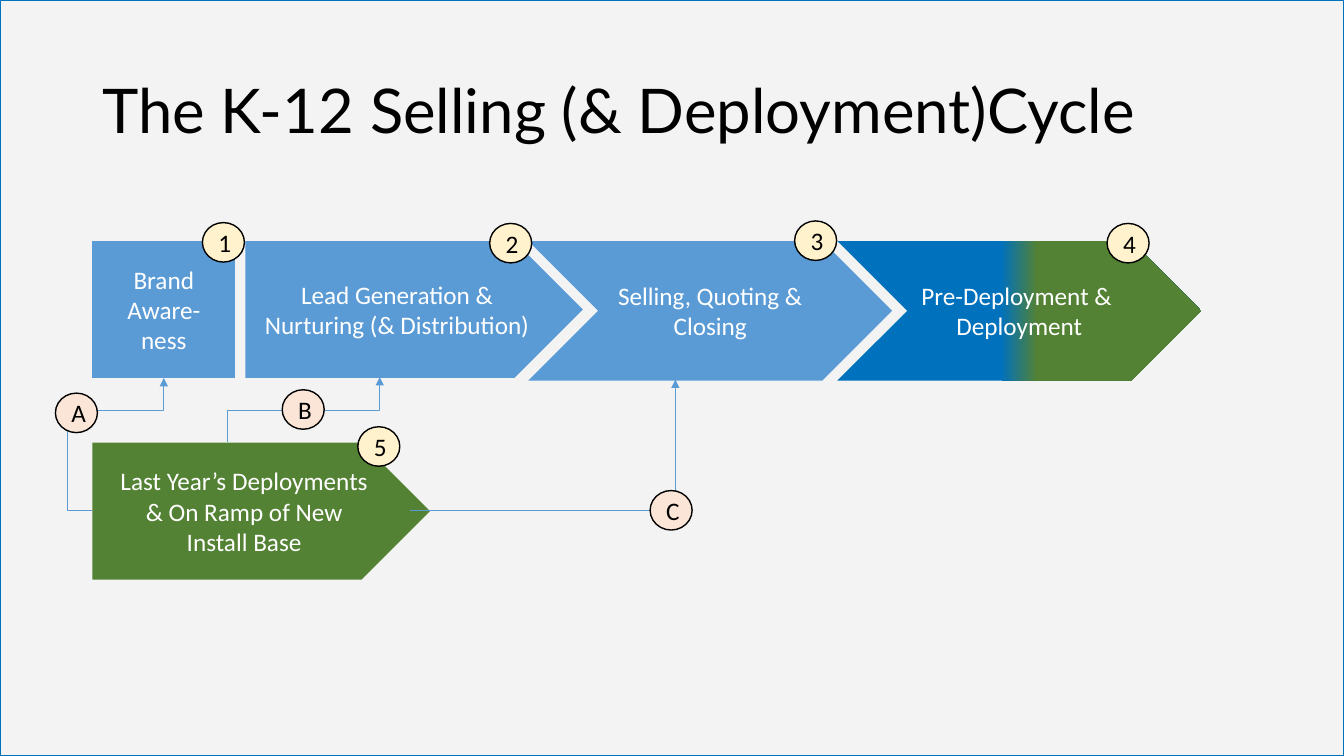
from lxml.etree import SubElement
from pptx import Presentation
from pptx.dml.color import RGBColor
from pptx.enum.shapes import MSO_CONNECTOR as Link, MSO_SHAPE as Shape
from pptx.enum.text import MSO_ANCHOR as Anchor, PP_ALIGN as Align
from pptx.oxml.ns import qn
from pptx.util import Inches, Pt

COLUMNS, ROWS = 16, 9
BLUE, DEEP_BLUE, GREEN = "5B9BD5", "0071BC", "548235"
CREAM, PEACH, PAPER = "FFF2CC", "FBE5D6", "F2F2F2"
BLACK, WHITE = "000000", "FFFFFF"


def rgb(value):
    return RGBColor.from_string(value)


def write(frame, text, font="Calibri", size=18, color=WHITE, align=Align.CENTER, spacing=None):
    frame.word_wrap = True
    frame.vertical_anchor = Anchor.MIDDLE
    for number, line in enumerate(text.split("\n")):
        paragraph = frame.add_paragraph() if number else frame.paragraphs[0]
        paragraph.text = line
        paragraph.alignment = align
        paragraph.line_spacing = spacing
        for run in paragraph.runs:
            run.font.name = font
            run.font.size = Pt(size)
            run.font.color.rgb = rgb(color)


class CycleSlide:
    def __init__(self, deck):
        self.shapes = deck.slides.add_slide(deck.slide_layouts[6]).shapes
        self.column = deck.slide_width / COLUMNS
        self.row = deck.slide_height / ROWS

    def place(self, left, top, width, height):
        return (round(left * self.column), round(top * self.row),
                round(width * self.column), round(height * self.row))

    def block(self, kind, box, fill, line=None, text="", **style):
        shape = self.shapes.add_shape(kind, *self.place(*box))
        shape.shadow.inherit = False
        if isinstance(fill, str):
            shape.fill.solid()
            shape.fill.fore_color.rgb = rgb(fill)
        else:
            shape.fill.gradient()
            shape.fill.gradient_angle = 0
            for stop, (position, color) in zip(shape.fill.gradient_stops, fill):
                stop.position = position
                stop.color.rgb = rgb(color)
        if line:
            shape.line.color.rgb = rgb(line)
            shape.line.width = Pt(1)
        else:
            shape.line.fill.background()
        if text:
            write(shape.text_frame, text, **style)
        return shape

    def backdrop(self, opacity):
        panel = self.block(Shape.RECTANGLE, (0, 0, COLUMNS, ROWS), PAPER, DEEP_BLUE)
        tint = panel._element.spPr.find(qn("a:solidFill")).find(qn("a:srgbClr"))
        SubElement(tint, qn("a:alpha"), val=str(opacity * 1000))

    def title(self, box, text):
        heading = self.shapes.add_textbox(*self.place(*box))
        write(heading.text_frame, text, font="Lato", size=44, color=BLACK,
              align=Align.LEFT, spacing=0.9)

    def badge(self, left, top, label, fill):
        self.block(Shape.OVAL, (left, top, 0.5, 0.47), fill, BLACK, label, color=BLACK)

    def elbow(self, box, preset, turn, adjustments):
        left, top, width, height = self.place(*box)
        arrow = self.shapes.add_connector(Link.ELBOW, left, top, left + width, top + height)
        arrow.line.color.rgb = rgb(BLUE)
        arrow.line.width = Pt(0.5)
        SubElement(arrow.line._get_or_add_ln(), qn("a:tailEnd"), type="triangle")
        properties = arrow._element.spPr
        SubElement(properties, qn("a:effectLst"))
        for name, value in turn.items():
            properties.find(qn("a:xfrm")).set(name, str(value))
        geometry = properties.find(qn("a:prstGeom"))
        geometry.set("prst", preset)
        guides = geometry.find(qn("a:avLst"))
        for number, share in enumerate(adjustments, 1):
            SubElement(guides, qn("a:gd"), name=f"adj{number}",
                       fmla=f"val {round(share * 100000)}")


def main():
    deck = Presentation()
    deck.slide_width, deck.slide_height = Inches(13.33), Inches(7.5)
    cycle = CycleSlide(deck)
    cycle.backdrop(88)
    cycle.title((1.1, 0.48, 13.8, 1.74), "The K-12 Selling (& Deployment)Cycle")

    stage_top, base_top = 2.87, 5.27
    handover = [(0.45, DEEP_BLUE), (0.55, GREEN)]
    stages = [
        (Shape.PENTAGON, 2.92, stage_top, 4.02, 1.63, BLUE,
         "Lead Generation &\vNurturing (& Distribution)"),
        (Shape.CHEVRON, 6.29, stage_top, 4.33, 1.66, BLUE, "Selling, Quoting & Closing"),
        (Shape.FLOWCHART_PREDEFINED_PROCESS, 1.1, stage_top, 1.7, 1.63, BLUE,
         "Brand\nAware-ness"),
        (Shape.PENTAGON, 1.1, base_top, 4.02, 1.63, GREEN,
         "Last Year’s Deployments\v& On Ramp of New\vInstall Base"),
        (Shape.CHEVRON, 9.97, stage_top, 4.33, 1.66, handover,
         "Pre-Deployment & \vDeployment"),
    ]
    for kind, *box, fill, text in stages:
        cycle.block(kind, box, fill, text=text)

    feedback = [
        ((4.88, 4.52, 3.16, 1.56), "bentConnector2", {"flipV": 1}, []),
        ((3.23, 3.97, 0.77, 1.81), "bentConnector3",
         {"rot": 90 * 60000, "flipH": 1, "flipV": 1}, [0.48]),
        ((1.1, 4.5, 0.85, 1.58), "bentConnector4",
         {"rot": 180 * 60000, "flipH": 1}, [-0.35, 0.76]),
    ]
    for route in feedback:
        cycle.elbow(*route)

    badges = [
        (2.41, 2.65, "1", CREAM), (5.83, 2.66, "2", CREAM), (9.46, 2.63, "3", CREAM),
        (13.18, 2.66, "4", CREAM), (4.26, 5.08, "5", CREAM),
        (0.66, 4.68, "A", PEACH), (3.36, 4.64, "B", PEACH), (7.74, 5.84, "C", PEACH),
    ]
    for badge in badges:
        cycle.badge(*badge)

    deck.save("out.pptx")


if __name__ == "__main__":
    main()
